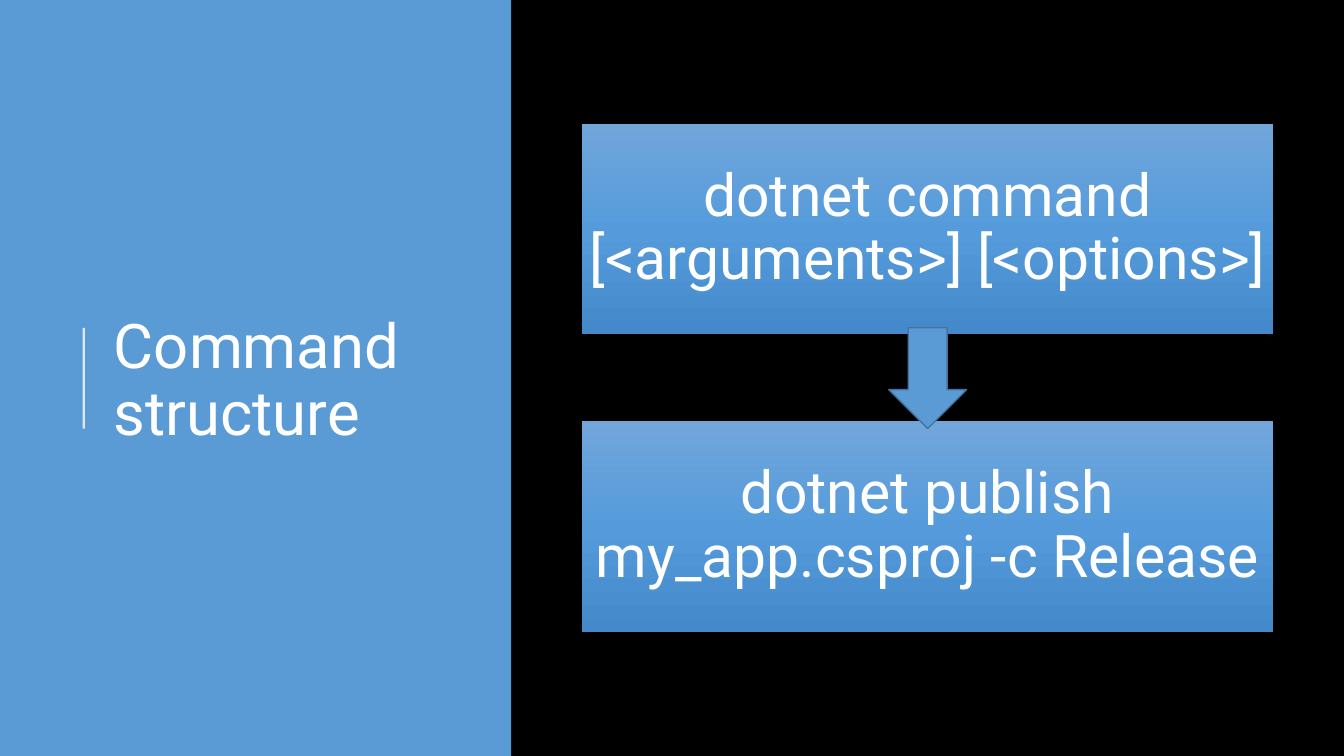
from copy import deepcopy

from pptx import Presentation
from pptx.dml.color import RGBColor
from pptx.enum.shapes import MSO_CONNECTOR, MSO_SHAPE
from pptx.enum.text import MSO_ANCHOR, MSO_AUTO_SIZE, PP_ALIGN
from pptx.oxml.ns import qn
from pptx.oxml.xmlchemy import OxmlElement
from pptx.util import Cm, Pt

BLACK = RGBColor(0x00, 0x00, 0x00)
WHITE = RGBColor(0xFF, 0xFF, 0xFF)
BLUE = RGBColor(0x5B, 0x9B, 0xD5)
EDGE = RGBColor(0x43, 0x73, 0x9E)
SHADES = [
    (0, RGBColor(0x71, 0xA6, 0xDB)),
    (0.5, RGBColor(0x55, 0x9B, 0xDB)),
    (1, RGBColor(0x44, 0x8A, 0xCA)),
]
STEPS = [
    "dotnet command [<arguments>] [<options>]",
    "dotnet publish my_app.csproj -c Release",
]


def add_block(kind, left, top, width, height):
    block = slide.shapes.add_shape(kind, Cm(left), Cm(top), Cm(width), Cm(height))
    block.shadow.inherit = False
    block.fill.solid()
    block.fill.fore_color.rgb = BLUE
    block.line.fill.background()
    return block


def set_text(shape, text, size, align, inset):
    frame = shape.text_frame
    frame.text = text
    look = {
        "word_wrap": True,
        "auto_size": MSO_AUTO_SIZE.NONE,
        "vertical_anchor": MSO_ANCHOR.MIDDLE,
        "margin_left": Cm(inset),
        "margin_right": Cm(inset),
    }
    for name, value in look.items():
        setattr(frame, name, value)
    para = frame.paragraphs[0]
    para.alignment = align
    para.line_spacing = 0.9
    font = para.runs[0].font
    font.name = "Roboto"
    font.size = Pt(size)
    font.color.rgb = WHITE


deck = Presentation()
deck.slide_width = Cm(33.87)
deck.slide_height = Cm(19.05)
slide = deck.slides.add_slide(deck.slide_layouts[5])
slide.background.fill.solid()
slide.background.fill.fore_color.rgb = BLACK

# Title panel, placed behind the title
panel = add_block(MSO_SHAPE.RECTANGLE, 0, 0, 12.88, 19.05)
title = slide.shapes.title
title.element.addprevious(panel.element)
place = {"left": 2.62, "top": 1.98, "width": 9.37, "height": 15.29}
for name, value in place.items():
    setattr(title, name, Cm(value))
set_text(title, "Command structure", 44, PP_ALIGN.LEFT, 0.25)

rule = slide.shapes.add_connector(
    MSO_CONNECTOR.STRAIGHT, Cm(2.11), Cm(10.8), Cm(2.11), Cm(8.26)
)
rule.line.color.rgb = WHITE
rule.line.width = Pt(1.5)
alpha = OxmlElement("a:alpha")
alpha.set("val", "80000")
rule.element.spPr.find(".//" + qn("a:srgbClr")).append(alpha)
rule.element.spPr.append(OxmlElement("a:effectLst"))

# General form above, worked example below
for row, text in enumerate(STEPS):
    box = add_block(MSO_SHAPE.RECTANGLE, 14.67, 3.12 + 7.49 * row, 17.41, 5.31)
    box.fill.gradient()
    box.fill.gradient_angle = 270
    first = box.element.spPr.find(".//" + qn("a:gs"))
    first.addnext(deepcopy(first))
    for stop, (spot, shade) in zip(box.fill.gradient_stops, SHADES):
        stop.position = spot
        stop.color.rgb = shade
    set_text(box, text, 42, PP_ALIGN.CENTER, 0.08)
    box.text_frame.margin_top = box.text_frame.margin_bottom = Cm(0.08)
    space = OxmlElement("a:spcAft")
    share = OxmlElement("a:spcPct")
    share.set("val", "35000")
    space.append(share)
    box.text_frame.paragraphs[0].line_spacing = 0.9
    box.element.find(".//" + qn("a:lnSpc")).addnext(space)

arrow = add_block(MSO_SHAPE.DOWN_ARROW, 22.4, 8.26, 1.96, 2.54)
arrow.line.color.rgb = EDGE
arrow.line.width = Pt(1)

deck.save("out.pptx")
